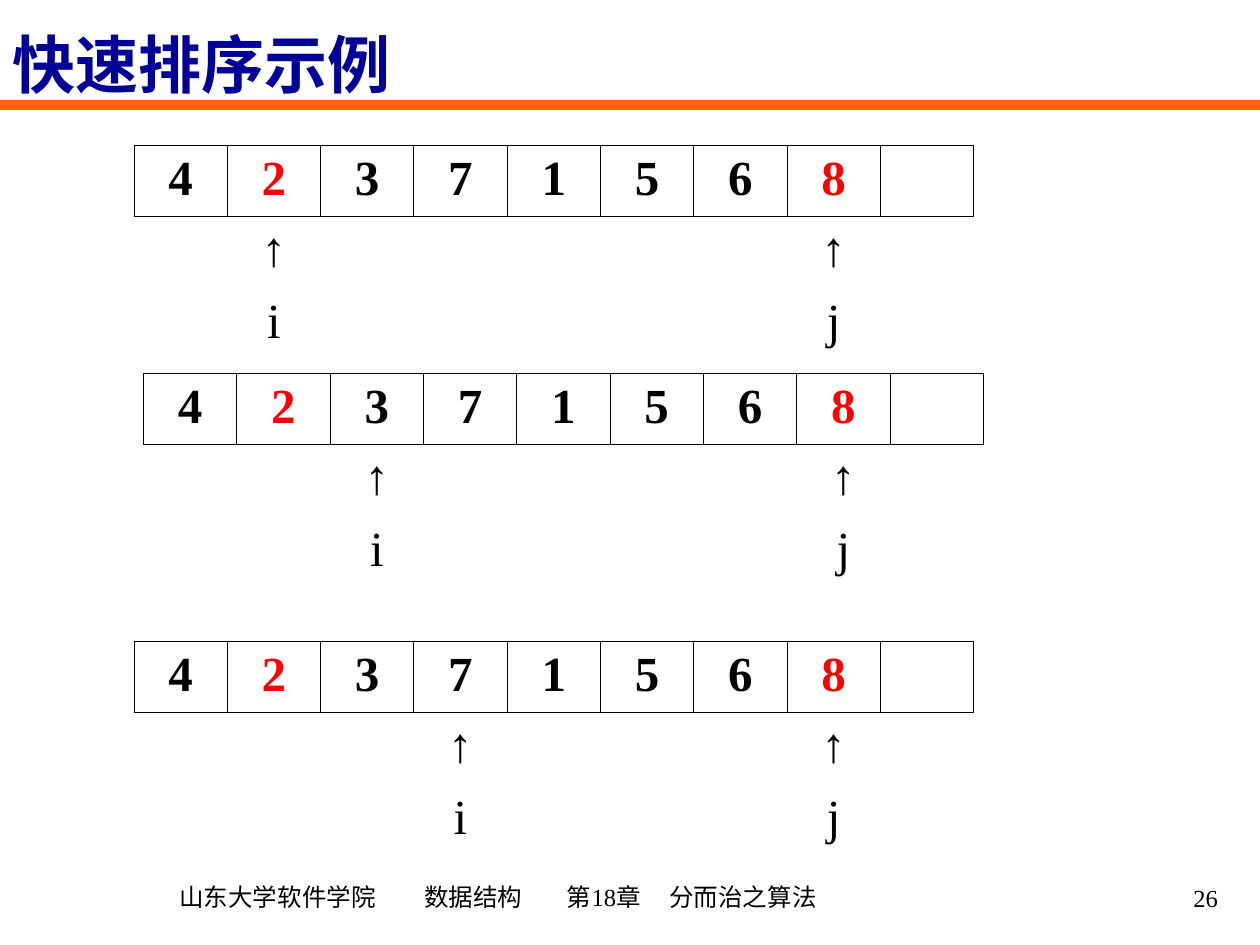
import pptx
import pptx.dml.color
import pptx.enum.shapes
import pptx.enum.text
import pptx.oxml.ns
import pptx.oxml.xmlchemy
import pptx.util
from lxml import etree

Pt = pptx.util.Pt
ALIGN = pptx.enum.text.PP_ALIGN
TIMES = "Times New Roman"
HAN = "Noto Sans CJK SC"
BLACK, RED, NAVY, ORANGE = "000000", "FF0000", "000099", "FF6600"
DIGITS = "42371568"
COLS = len(DIGITS) + 1
qn = pptx.oxml.ns.qn


def color(text):
    return pptx.dml.color.RGBColor.from_string(text)


def add_run(para, text, size, face, tint=BLACK, bold=False):
    run = para.add_run()
    run.text = text
    font = run.font
    font.size, font.bold, font.name = Pt(size), bold, face
    font.color.rgb = color(tint)
    etree.SubElement(run._r.get_or_add_rPr(), qn("a:ea"), typeface=HAN)


def add_title(slide, parts):
    shape = slide.shapes.title
    shape.left, shape.top, shape.width, shape.height = Pt(0), Pt(0), Pt(612), Pt(72)
    frame = shape.text_frame
    frame.auto_size = pptx.enum.text.MSO_AUTO_SIZE.NONE
    frame.vertical_anchor = pptx.enum.text.MSO_ANCHOR.MIDDLE
    para = frame.paragraphs[0]
    para.alignment = ALIGN.LEFT
    for text, face in parts:
        add_run(para, text, 36, face, NAVY, True)


def add_rule(slide, y):
    line = slide.shapes.add_connector(
        pptx.enum.shapes.MSO_CONNECTOR.STRAIGHT, Pt(0), Pt(y), Pt(720), Pt(y))
    line.line.color.rgb = color(ORANGE)
    line.line.width = Pt(6)
    etree.SubElement(line._element.spPr, qn("a:effectLst"))


def add_note(slide, box, text, align, inset=7.2, stops=()):
    frame = slide.shapes.add_textbox(*map(Pt, box)).text_frame
    frame.word_wrap = True
    frame.margin_left = Pt(inset)
    frame.vertical_anchor = pptx.enum.text.MSO_ANCHOR.MIDDLE
    para = frame.paragraphs[0]
    para.alignment = align
    if stops:
        tabs = etree.SubElement(para._p.get_or_add_pPr(), qn("a:tabLst"))
        for stop in stops:
            etree.SubElement(tabs, qn("a:tab"), pos=str(Pt(stop)), algn="l")
    add_run(para, text, 14, TIMES)


def set_edges(cell, drawn):
    props = cell._tc.get_or_add_tcPr()
    for side in "LRTB":
        edge = etree.SubElement(props, qn("a:ln" + side), w=str(Pt(0.45)))
        if side in drawn:
            fill = etree.SubElement(edge, qn("a:solidFill"))
            etree.SubElement(fill, qn("a:srgbClr"), val=BLACK)
        else:
            etree.SubElement(edge, qn("a:noFill"))
    cell.fill.background()


def add_array(slide, left, top, marks):
    arrows = ["↑" if col in marks else "" for col in range(COLS)]
    names = [marks.get(col, "") for col in range(COLS)]
    rows = [[*DIGITS, ""], arrows, names]
    grid = slide.shapes.add_table(
        len(rows), COLS, Pt(left), Pt(top), Pt(480), Pt(122.4)).table
    grid.first_row = grid.horz_banding = False
    for col in grid.columns:
        col.width = Pt(480 / COLS)
    for r, (row, edges) in enumerate(zip(rows, ("LRTB", "T", ""))):
        grid.rows[r].height = Pt(40.8)
        for c, text in enumerate(row):
            cell = grid.cell(r, c)
            set_edges(cell, edges)
            if text:
                para = cell.text_frame.paragraphs[0]
                para.alignment = ALIGN.CENTER
                tint = RED if text in "28" else BLACK
                add_run(para, text, 28, TIMES, tint, r == 0)


def main():
    deck = pptx.Presentation()
    deck.slide_width, deck.slide_height = Pt(720), Pt(540)
    slide = deck.slides.add_slide(deck.slide_layouts[5])
    add_rule(slide, 60)
    add_note(slide, (54, 494, 465, 36.5),
             "山东大学软件学院\t数据结构\t第18章\t分而治之算法",
             ALIGN.LEFT, 48.5, (140, 221.5, 280))
    add_note(slide, (553, 495, 150, 36), "26", ALIGN.RIGHT)
    add_title(slide, [("快速排序", "Arial"), ("示例", HAN)])
    places = [(76.5, 83), (82, 213.3), (76.5, 366.5)]
    for step, (left, top) in enumerate(places, 1):
        add_array(slide, left, top, {step: "i", 7: "j"})
    deck.save("out.pptx")


if __name__ == "__main__":
    main()
